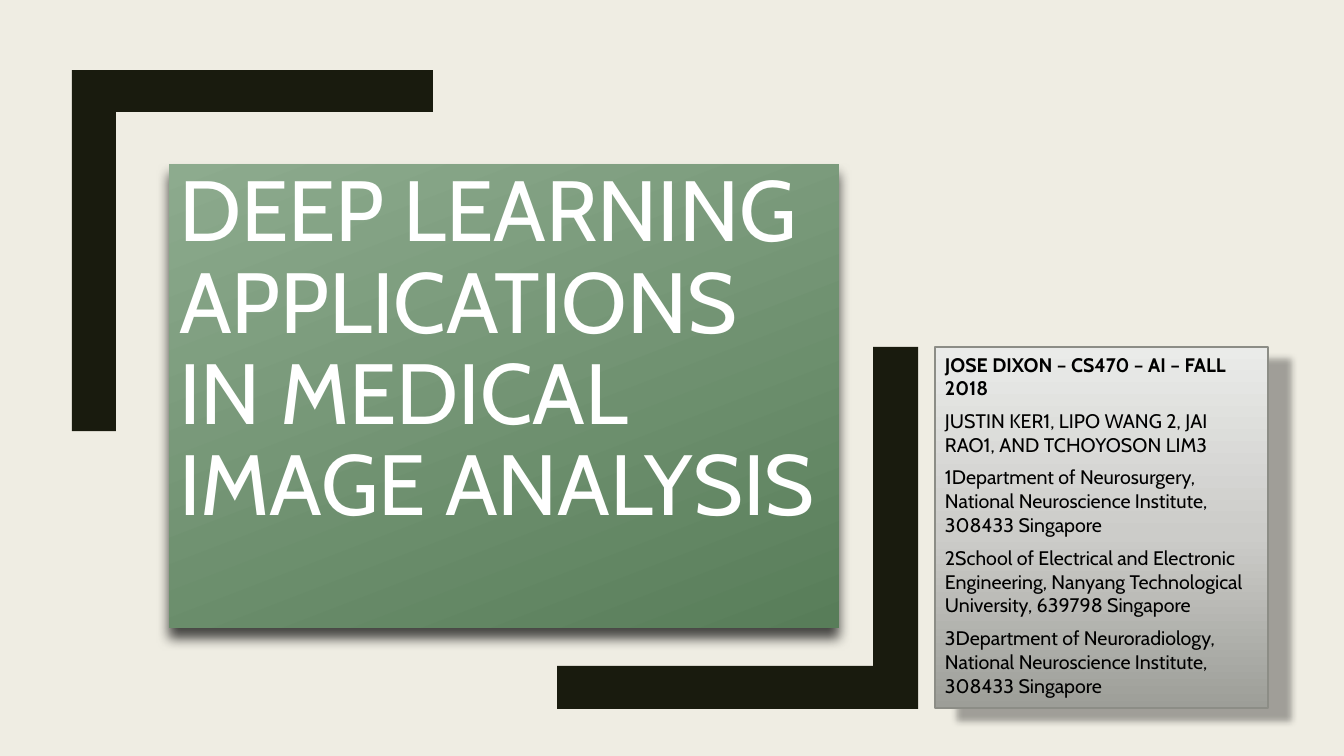
import lxml.etree
import pptx
import pptx.dml.color
import pptx.enum.shapes
import pptx.enum.text
import pptx.oxml.ns
import pptx.util

SCALE = 914400 / 100.8
TITLE = "DEEP LEARNING APPLICATIONS IN MEDICAL IMAGE ANALYSIS"
CREDITS = [
    "JOSE DIXON – CS470 – AI – FALL 2018",
    "JUSTIN KER1, LIPO WANG 2, JAI RAO1, AND TCHOYOSON LIM3",
    "1Department of Neurosurgery, National Neuroscience Institute, 308433 Singapore",
    "2School of Electrical and Electronic Engineering, Nanyang Technological University, 639798 Singapore",
    "3Department of Neuroradiology, National Neuroscience Institute, 308433 Singapore",
]


def px(n):
    return pptx.util.Emu(round(n * SCALE))


def color(code):
    return pptx.dml.color.RGBColor.from_string(code)


def add(parent, tag, **attrs):
    values = {key: str(value) for key, value in attrs.items()}
    return lxml.etree.SubElement(parent, pptx.oxml.ns.qn(tag), values)


class Deck:
    """Holds the style and the current slide."""

    font = "Cabin"
    paper = "EFEDE3"
    ink = "191B0E"

    def __init__(self):
        self.show = pptx.Presentation()
        self.show.slide_width, self.show.slide_height = px(1344), px(756)
        self.slide = self.show.slides.add_slide(self.show.slide_layouts[5])
        fill = self.slide.background.fill
        fill.solid()
        fill.fore_color.rgb = color(self.paper)

    def bracket(self, points):
        pen = self.slide.shapes.build_freeform(*points[0], scale=SCALE)
        pen.add_line_segments(points[1:], close=True)
        shape = pen.convert_to_shape()
        shape.shadow.inherit = False
        shape.fill.solid()
        shape.fill.fore_color.rgb = color(self.ink)
        shape.line.fill.background()

    def blend(self, shape, stops, angle):
        shape.fill.gradient()
        shape.fill.gradient_angle = 360 - angle
        stop_list = shape.element.spPr.find(".//" + pptx.oxml.ns.qn("a:gsLst"))
        for old in list(stop_list):
            stop_list.remove(old)
        for place, code in stops:
            add(add(stop_list, "a:gs", pos=place * 1000), "a:srgbClr", val=code)

    def shade(self, shape, alpha, blur, dist, angle):
        shape.shadow.inherit = False
        effects = shape.element.spPr.find(pptx.oxml.ns.qn("a:effectLst"))
        shadow = add(effects, "a:outerShdw", blurRad=pptx.util.Pt(blur),
                     dist=pptx.util.Pt(dist), dir=angle * 60000, algn="ctr", rotWithShape=0)
        add(add(shadow, "a:srgbClr", val="000000"), "a:alpha", val=alpha * 1000)

    def label(self, shape, lines, size, ink, pitch, after=0):
        frame = shape.text_frame
        frame.text = "\n".join(lines)
        frame.word_wrap = True
        frame.auto_size = pptx.enum.text.MSO_AUTO_SIZE.NONE
        frame.vertical_anchor = pptx.enum.text.MSO_ANCHOR.TOP
        for para in frame.paragraphs:
            para.alignment = pptx.enum.text.PP_ALIGN.LEFT
            para.line_spacing = pitch
            para.space_before = pptx.util.Pt(0)
            para.space_after = pptx.util.Pt(after)
            para.font.name = self.font
            para.font.size = pptx.util.Pt(size)
            para.font.color.rgb = color(ink)

    def title(self, text, left, top, width, height):
        shape = self.slide.shapes.title
        shape.left, shape.top = px(left), px(top)
        shape.width, shape.height = px(width), px(height)
        self.blend(shape, [(0, "8DAB8E"), (100, "587D59")], 69)
        self.shade(shape, alpha=70, blur=9, dist=7, angle=90)
        self.label(shape, [text], 61, "FFFFFF", 0.89)

    def panel(self, lines, left, top, width, height):
        shape = self.slide.shapes.add_shape(
            pptx.enum.shapes.MSO_SHAPE.RECTANGLE, px(left), px(top), px(width), px(height))
        self.blend(shape, [(0, "9D9E98"), (48, "CCCCC9"), (100, "EAEBE9")], 270)
        shape.line.color.rgb = color("8C8D86")
        shape.line.width = pptx.util.Pt(1)
        self.shade(shape, alpha=32, blur=5, dist=18, angle=29)
        self.label(shape, lines, 14, "000000", 1.02, after=6)
        shape.text_frame.paragraphs[0].font.bold = True


def main():
    deck = Deck()
    deck.bracket([(72, 70), (433, 70), (433, 112), (116, 112), (116, 431), (72, 431)])
    deck.bracket([(873, 347), (918, 347), (918, 709), (557, 709), (557, 666), (873, 666)])
    deck.title(TITLE, 169, 164, 670, 464)
    deck.panel(CREDITS, 935, 347, 333, 361)
    deck.show.save("out.pptx")


if __name__ == "__main__":
    main()
